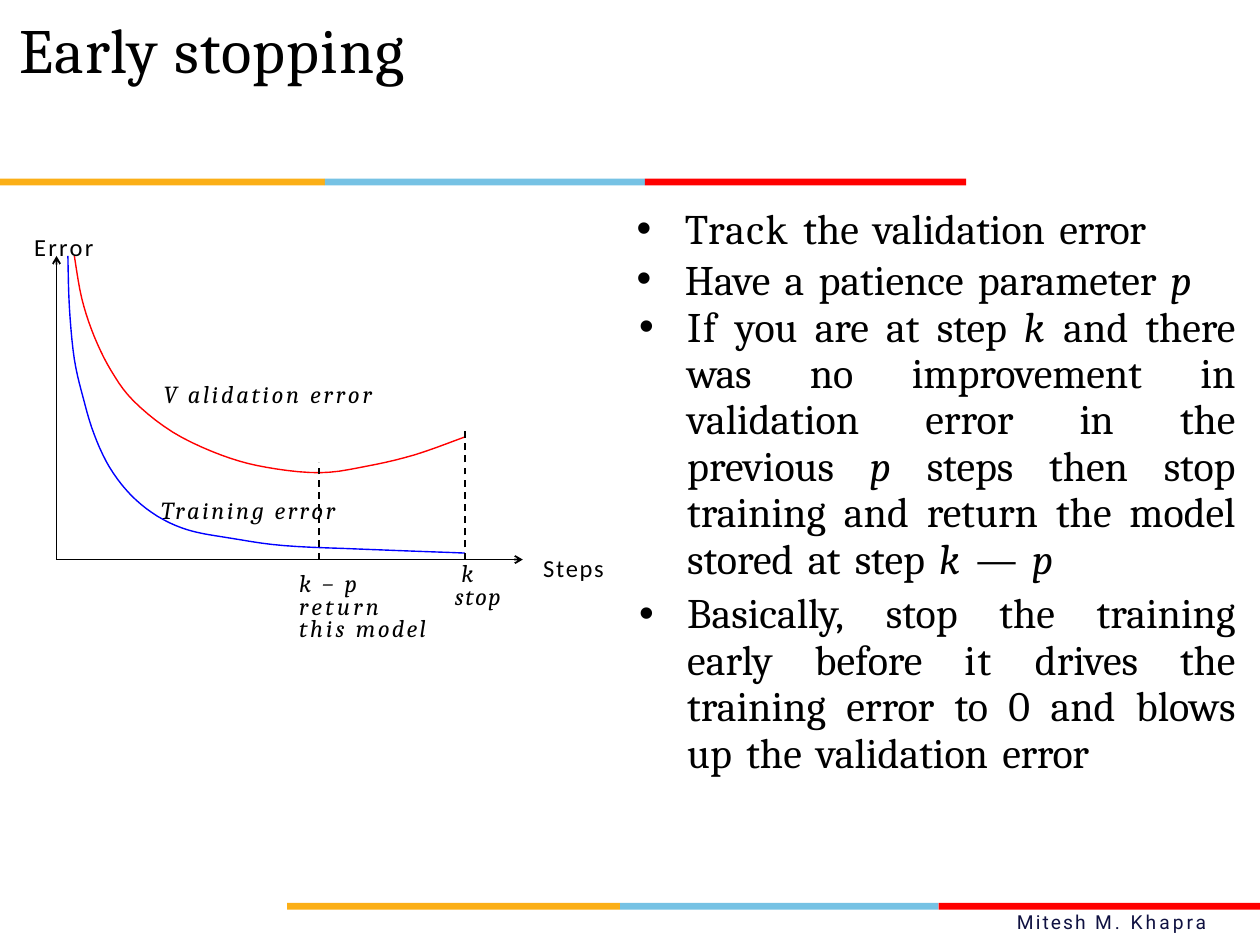
from dataclasses import dataclass

from lxml import etree
from pptx import Presentation
from pptx.dml.color import RGBColor
from pptx.enum import dml, shapes, text
from pptx.oxml.ns import qn
from pptx.util import Cm, Pt


@dataclass(frozen=True)
class Theme:
    serif: str = "Cambria"
    sans: str = "Calibri"
    footer_font: str = "Roboto"
    ink: str = "000000"
    navy: str = "0F1141"
    validation: str = "FF0000"
    training: str = "0000FF"
    stripes: tuple = ("FBAF17", "76C2E4", "FF0000")
    title_size: float = 36
    body_size: float = 24
    label_size: float = 14
    footer_size: float = 11
    curve_width: float = 0.8
    axis_width: float = 1
    word_gap: float = 2.9


THEME = Theme()

# Chart geometry in cm
ORIGIN = (1.14, 11.28)
STEPS_END = (10.54, 11.28)
ERROR_END = (1.14, 5.16)
VALIDATION_KNOTS = [
    (1.5, 5.16), (1.65, 6.02), (1.9, 6.78), (2.24, 7.47), (2.69, 8.08), (3.48, 8.71),
    (4.45, 9.17), (5.36, 9.42), (6.45, 9.53), (7.39, 9.4), (8.36, 9.17), (9.37, 8.81)]
TRAINING_KNOTS = [
    (1.37, 5.16), (1.4, 6.2), (1.5, 7.24), (1.68, 8.03), (1.9, 8.76), (2.21, 9.42),
    (2.64, 9.98), (3.18, 10.41), (3.81, 10.69), (4.65, 10.85), (5.72, 11),
    (7.26, 11.07), (9.37, 11.15)]
STEP_MARKS = [(6.43, 9.32), (9.37, 8.59)]

# Each bullet: paragraph format, then runs as (text, letter spacing, italic)
BULLETS = [
    (dict(margin=0.97),
     [("Track ", 0.8, False), ("the validation ", 0, False), ("error", -0.2, False)]),
    (dict(margin=0.97),
     [("Have a patience parameter ", 0, False), ("p", -0.8, True)]),
    (dict(margin=1.02, justified=True, line_spacing=0.92, before=0.9),
     [("If ", 0.9, False), ("you are at step ", 0, False), ("k ", 1, True),
      ("and there ", 0, False), ("was ", -0.4, False),
      ("no improvement in validation error ", 0, False), ("in ", -0.4, False),
      ("the previous ", 0, False), ("p ", 0, True),
      ("steps then stop training and return the model stored ", 0, False),
      ("at ", -0.4, False), ("step ", 0, False), ("k ", 1, True),
      ("— ", -2, False), ("p", -0.8, True)]),
    (dict(margin=1.02, justified=True, line_spacing=0.92, before=4.8),
     [("Basically, stop the training early before ", 0, False), ("it ", 0.9, False),
      ("drives the training error to ", 0, False), ("0", -0.8, False),
      (" and blows up the validation ", 0, False), ("error", -0.2, False)]),
]


def write(paragraph, content, *, size, font=THEME.serif, color=THEME.ink,
          italic=False, spacing=0):
    """Append one formatted run to a paragraph."""
    run = paragraph.add_run()
    run.text = content
    run.font.size = Pt(size)
    run.font.name = font
    run.font.italic = italic
    run.font.color.rgb = RGBColor.from_string(color)
    run.font._element.set("spc", str(round(spacing * 100)))


def write_wide(paragraph, content, *, spacing, **format_):
    """Write the words with widened gaps between them."""
    for number, word in enumerate(content.split(" ")):
        if number:
            write(paragraph, " ", spacing=THEME.word_gap, **format_)
        if word:
            write(paragraph, word, spacing=spacing, **format_)


def place(shape, left, top, width, height):
    shape.left, shape.top = Cm(left), Cm(top)
    shape.width, shape.height = Cm(width), Cm(height)


def add_stripes(slide, edges, top):
    for left, right, color in zip(edges, edges[1:], THEME.stripes):
        stripe = slide.shapes.add_shape(
            shapes.MSO_SHAPE.RECTANGLE, Cm(left), Cm(top), Cm(right - left), Cm(0.14))
        stripe.shadow.inherit = False
        stripe.fill.solid()
        stripe.fill.fore_color.rgb = RGBColor.from_string(color)
        stripe.line.fill.background()


def style_line(line, color, width):
    line.color.rgb = RGBColor.from_string(color)
    line.width = Pt(width)


def add_line(slide, start, end, *, arrow=False, dashed=False):
    connector = slide.shapes.add_connector(
        shapes.MSO_CONNECTOR.STRAIGHT, *(Cm(value) for value in (*start, *end)))
    style_line(connector.line, THEME.ink, THEME.axis_width)
    if dashed:
        connector.line.dash_style = dml.MSO_LINE.DASH
    properties = connector._element.spPr
    if arrow:
        etree.SubElement(properties.find(qn("a:ln")), qn("a:tailEnd"),
                         type="arrow", w="sm", len="sm")
    etree.SubElement(properties, qn("a:effectLst"))


def smooth_points(knots, steps=5):
    """Return a Catmull-Rom spline through the knots as a list of points."""
    padded = [knots[0], *knots, knots[-1]]
    points = [knots[0]]
    for before, start, end, after in zip(padded, padded[1:], padded[2:], padded[3:]):
        for step in range(1, steps + 1):
            t = step / steps
            points.append(tuple(
                0.5 * (2 * b + (c - a) * t + (2 * a - 5 * b + 4 * c - d) * t ** 2
                       + (3 * b - a - 3 * c + d) * t ** 3)
                for a, b, c, d in zip(before, start, end, after)))
    return points


def add_curve(slide, knots, color):
    first, *rest = [(Cm(x), Cm(y)) for x, y in smooth_points(knots)]
    builder = slide.shapes.build_freeform(*first)
    builder.add_line_segments(rest, close=False)
    curve = builder.convert_to_shape()
    curve.shadow.inherit = False
    curve.fill.background()
    style_line(curve.line, color, THEME.curve_width)


def add_label(slide, box, lines, *, line_spacing=None, before=0, first_indent=0,
              **format_):
    """Add a text box; each line is a list of (text, letter spacing) runs."""
    label = slide.shapes.add_textbox(*(Cm(value) for value in box))
    frame = label.text_frame
    frame.word_wrap = True
    frame.margin_left = frame.margin_top = Cm(0.05)
    frame.margin_right = frame.margin_bottom = 0
    for number, runs in enumerate(lines):
        paragraph = frame.add_paragraph() if number else frame.paragraphs[0]
        paragraph.line_spacing = line_spacing
        paragraph.space_before = Pt(before)
        if first_indent:
            paragraph._p.get_or_add_pPr().set("indent", str(Cm(first_indent)))
        for content, spacing in runs:
            write(paragraph, content, spacing=spacing, **format_)


def fill_title(title):
    place(title, 0.13, 0.09, 22.66, 3.25)
    frame = title.text_frame
    frame.auto_size = text.MSO_AUTO_SIZE.NONE
    frame.vertical_anchor = text.MSO_ANCHOR.TOP
    frame.paragraphs[0].alignment = text.PP_ALIGN.LEFT
    write(frame.paragraphs[0], "Early stopping", size=THEME.title_size, spacing=0.7)


def fill_bullets(body):
    place(body, 12.58, 3.96, 12.58, 12.57)
    frame = body.text_frame
    frame.auto_size = text.MSO_AUTO_SIZE.NONE
    for number, (layout, runs) in enumerate(BULLETS):
        paragraph = frame.add_paragraph() if number else frame.paragraphs[0]
        justified = layout.get("justified", False)
        paragraph.alignment = text.PP_ALIGN.JUSTIFY if justified else text.PP_ALIGN.LEFT
        paragraph.line_spacing = layout.get("line_spacing", 1.0)
        paragraph.space_before = Pt(layout.get("before", 0))
        properties = paragraph._p.get_or_add_pPr()
        properties.set("marL", str(Cm(layout["margin"])))
        properties.set("indent", str(-Cm(0.97)))
        etree.SubElement(properties, qn("a:buChar"), char="•")
        for content, spacing, italic in runs:
            write_wide(paragraph, content, size=THEME.body_size, italic=italic,
                       spacing=spacing)


def add_error_chart(slide):
    # Curves, axes and step marks
    add_curve(slide, VALIDATION_KNOTS, THEME.validation)
    add_curve(slide, TRAINING_KNOTS, THEME.training)
    for end in (STEPS_END, ERROR_END):
        add_line(slide, ORIGIN, end, arrow=True)
    for x, top in STEP_MARKS:
        add_line(slide, (x, ORIGIN[1]), (x, top), dashed=True)

    # Axis names
    axis = dict(size=THEME.label_size, font=THEME.sans)
    add_label(slide, (0.64, 4.62, 1.7, 0.64), [[("Error", 1.3)]], **axis)
    add_label(slide, (10.9, 11.1, 2.1, 0.64), [[("Steps", 1)]], **axis)

    # Curve names and step notes
    note = dict(size=THEME.label_size, italic=True)
    add_label(slide, (3.25, 7.59, 5.2, 0.64),
              [[("V alidation ", 1.5), ("error", 1.7)]], **note)
    add_label(slide, (3.2, 9.93, 3.86, 0.64), [[("Training error", 1.5)]], **note)
    add_label(slide, (9.12, 11.33, 1.22, 1.04), [[("k ", 1), ("stop", 0.9)]],
              line_spacing=0.78, before=4, first_indent=0.13, **note)
    add_label(slide, (5.98, 11.63, 3.15, 1.35),
              [[("k ", 1.5), ("− ", 1.5), ("p", 0.2)],
               [("return", 1.9)],
               [("this ", 1.7), ("model", 1.3)]],
              line_spacing=Pt(10.2), before=2.9, **note)


def main():
    deck = Presentation()
    deck.slide_width, deck.slide_height = Cm(25.4), Cm(19.05)
    slide = deck.slides.add_slide(deck.slide_layouts[1])

    # Colour stripes under the title and above the footer
    add_stripes(slide, (0, 6.55, 13, 19.48), 3.6)
    add_stripes(slide, (5.79, 12.5, 18.92, 25.4), 18.2)

    add_error_chart(slide)

    # Footer
    add_label(slide, (20.45, 18.39, 4.75, 0.5), [[("Mitesh ", 1.2), ("M. Khapra", 1.7)]],
              line_spacing=Pt(10.6), size=THEME.footer_size,
              font=THEME.footer_font, color=THEME.navy)

    fill_bullets(slide.placeholders[1])
    fill_title(slide.shapes.title)
    deck.save("out.pptx")


if __name__ == "__main__":
    main()
